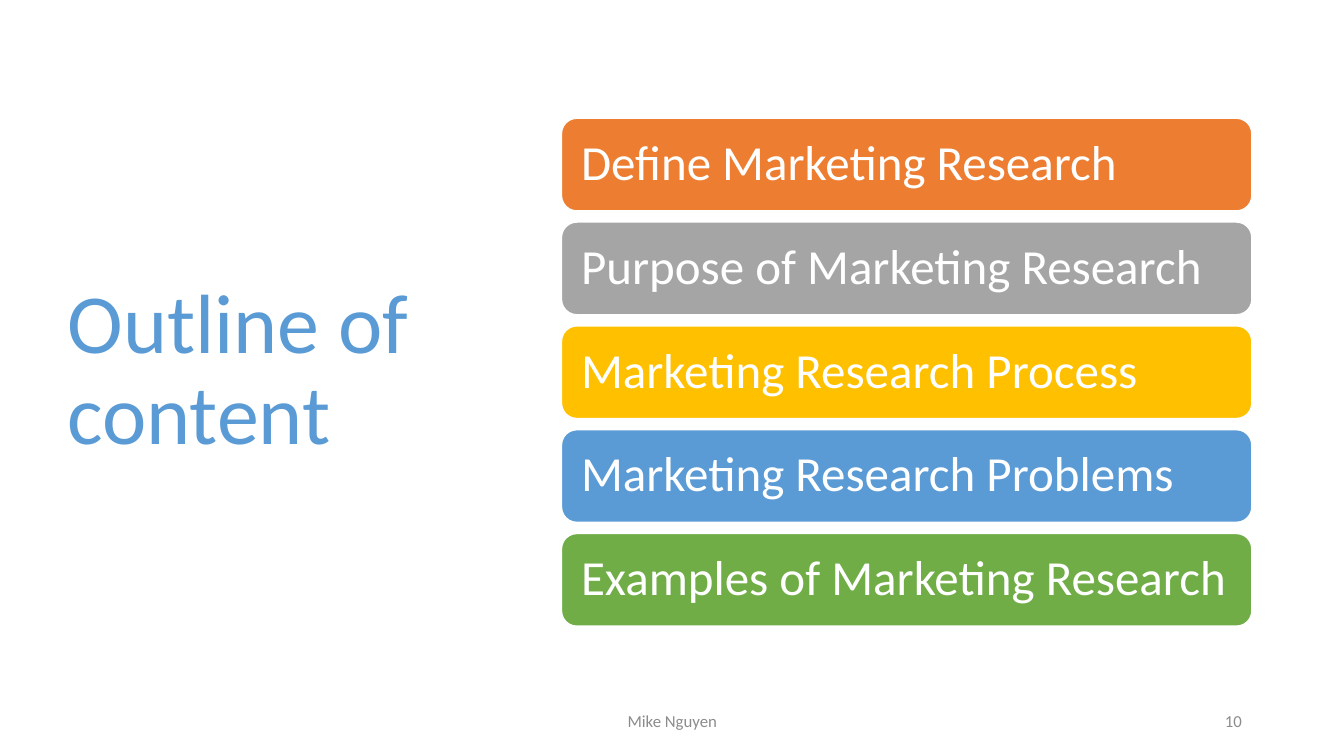
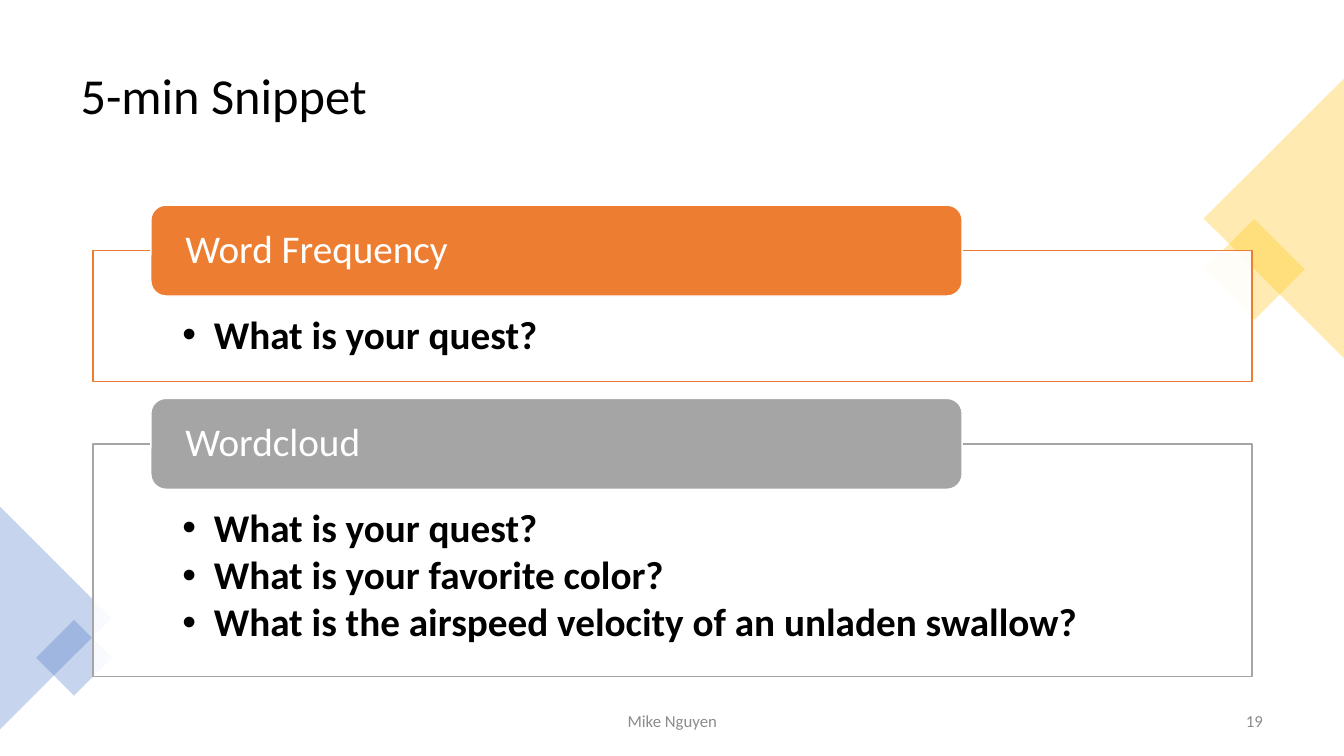
from dataclasses import dataclass
from typing import NamedTuple

from lxml import etree
from pptx import Presentation
from pptx.dml.color import RGBColor
from pptx.enum.shapes import MSO_SHAPE
from pptx.enum.text import MSO_ANCHOR, MSO_AUTO_SIZE, PP_ALIGN
from pptx.oxml.ns import qn
from pptx.util import Cm, Pt

RECTANGLE = MSO_SHAPE.RECTANGLE
ROUNDED = MSO_SHAPE.ROUNDED_RECTANGLE
TRIANGLE = MSO_SHAPE.ISOSCELES_TRIANGLE
LEFT, CENTER, RIGHT = PP_ALIGN.LEFT, PP_ALIGN.CENTER, PP_ALIGN.RIGHT
TOP, MIDDLE = MSO_ANCHOR.TOP, MSO_ANCHOR.MIDDLE
NO_AUTOFIT = MSO_AUTO_SIZE.NONE
TITLE_ONLY = 5


@dataclass(frozen=True)
class Theme:
    font: str = "Calibri"
    white: str = "FFFFFF"
    black: str = "000000"
    muted: str = "8C8C8C"
    orange: str = "ED7D31"
    gray: str = "A5A5A5"
    gold: str = "FFC000"
    blue: str = "5B9BD5"
    navy: str = "4472C4"
    green: str = "70AD47"
    large_title: int = 60
    title: int = 36
    bar: int = 35
    panel: int = 28
    footer: int = 12
    tight: float = 0.9


class Box(NamedTuple):
    """A region in centimetres."""
    left: float
    top: float
    width: float
    height: float

    def lengths(self):
        return [Cm(value) for value in self]


THEME = Theme()
FOOTER_BOX = Box(11.23, 17.65, 11.43, 1.02)
NUMBER_WIDTH = 7.62


def write_text(frame, *lines, size, color, bold=False, align=LEFT, anchor=MIDDLE,
               insets=(0.25, 0.13, 0.25, 0.13), line_spacing=THEME.tight,
               space_after=0, bullet_indent=None):
    """Fill a text frame, one paragraph a line; lengths are in centimetres."""
    frame.auto_size = NO_AUTOFIT
    frame.word_wrap = True
    frame.vertical_anchor = anchor
    (frame.margin_left, frame.margin_top,
     frame.margin_right, frame.margin_bottom) = [Cm(inset) for inset in insets]
    for index, line in enumerate(lines):
        para = frame.add_paragraph() if index else frame.paragraphs[0]
        para.alignment = align
        para.line_spacing = line_spacing
        para.space_after = Pt(space_after)
        if bullet_indent is not None:
            add_bullet(para, bullet_indent)
        span = para.add_run()
        span.text = line
        span.font.name = THEME.font
        span.font.size = Pt(size)
        span.font.bold = bold
        span.font.color.rgb = RGBColor.from_string(color)


def add_bullet(para, indent):
    properties = para._p.get_or_add_pPr()
    properties.set("marL", str(Cm(indent)))
    properties.set("indent", str(-Cm(indent)))
    etree.SubElement(properties, qn("a:buFont"), typeface="Arial")
    etree.SubElement(properties, qn("a:buChar"), char="•")


def add_block(page, kind, box, fill, line=None, opacity=100, rotation=0):
    """Add a flat preset shape."""
    block = page.shapes.add_shape(kind, *box.lengths())
    block.shadow.inherit = False
    block.rotation = rotation
    block.fill.solid()
    block.fill.fore_color.rgb = RGBColor.from_string(fill)
    if opacity < 100:
        color = block.element.spPr.find(qn("a:solidFill")).find(qn("a:srgbClr"))
        etree.SubElement(color, qn("a:alpha"), val=str(opacity * 1000))
    if line:
        block.line.color.rgb = RGBColor.from_string(line)
        block.line.width = Pt(1)
    else:
        block.line.fill.background()
    return block


def add_title(page, box, text, size, color):
    title = page.shapes.title
    title.left, title.top, title.width, title.height = box.lengths()
    write_text(title.text_frame, text, size=size, color=color)


def add_footer(page, number, right):
    """Author in the centre, page number ending at the given right edge."""
    number_box = FOOTER_BOX._replace(left=right - NUMBER_WIDTH, width=NUMBER_WIDTH)
    for box, text, align in ((FOOTER_BOX, "Mike Nguyen", CENTER),
                             (number_box, number, RIGHT)):
        label = page.shapes.add_textbox(*box.lengths())
        write_text(label.text_frame, text, size=THEME.footer, color=THEME.muted,
                   align=align, line_spacing=1.0)


def add_bars(page, box, bars, gap=0.28):
    """Stack equal bars that fill the box."""
    height = (box.height - gap * (len(bars) - 1)) / len(bars)
    for index, (text, color) in enumerate(bars):
        place = box._replace(top=box.top + index * (height + gap), height=height)
        bar = add_block(page, ROUNDED, place, color, line=THEME.white)
        write_text(bar.text_frame, text, size=THEME.bar, color=THEME.white,
                   insets=(0.38,) * 4)


def add_panel(page, box, heading, items, color):
    """Outlined list with a heading tab across its top edge."""
    tab_height = 2.29
    overlap = tab_height / 2
    frame_box = box._replace(top=box.top + overlap, height=box.height - overlap)
    frame = add_block(page, RECTANGLE, frame_box, THEME.white, line=color, opacity=90)
    write_text(frame.text_frame, *items, size=THEME.panel, color=THEME.black,
               bold=True, anchor=TOP, insets=(2.26, 1.63, 2.26, 0.56),
               space_after=3.5, bullet_indent=0.79)

    tab_box = Box(box.left + box.width * 0.05, box.top, box.width * 0.7, tab_height)
    tab = add_block(page, ROUNDED, tab_box, color, line=THEME.white)
    write_text(tab.text_frame, heading, size=THEME.panel, color=THEME.white,
               insets=(0.76, 0, 0.76, 0))


def add_panels(page, box, panels, gap=0.42):
    """Stack panels downwards, each as tall as its list needs."""
    top = box.top
    for heading, items, color in panels:
        height = 3.17 + 1.28 * len(items)
        add_panel(page, box._replace(top=top, height=height), heading, items, color)
        top += height + gap


def add_edge_ornaments(page):
    """Translucent diamonds at the right and left edges."""
    for kind, box, color, rotation in (
        (RECTANGLE, Box(30.71, 5.89, 1.8, 1.8), THEME.gold, 45),
        (TRIANGLE, Box(28.58, 3.74, 7.04, 3.53), THEME.gold, 270),
        (TRIANGLE, Box(-1.4, 14.17, 5.61, 2.81), THEME.navy, 90),
        (RECTANGLE, Box(1.19, 15.9, 1.35, 1.35), THEME.navy, 45),
    ):
        add_block(page, kind, box, color, opacity=30, rotation=rotation)


def build_outline(page):
    add_title(page, Box(1.45, 1.73, 10.57, 15.29), "Outline of content",
              THEME.large_title, THEME.blue)
    add_footer(page, "10", right=31.55)
    add_bars(page, Box(14.15, 2.98, 17.4, 12.8), (
        ("Define Marketing Research", THEME.orange),
        ("Purpose of Marketing Research", THEME.gray),
        ("Marketing Research Process", THEME.gold),
        ("Marketing Research Problems", THEME.blue),
        ("Examples of Marketing Research", THEME.green),
    ))


def build_snippet(page):
    add_title(page, Box(1.78, 0.89, 30.3, 3.15), "5-min Snippet",
              THEME.title, THEME.black)
    add_edge_ornaments(page)
    add_footer(page, "19", right=32.08)
    quest = "What is your quest?"
    add_panels(page, Box(2.34, 5.17, 29.21, 11.88), (
        ("Word Frequency", (quest,), THEME.orange),
        ("Wordcloud", (quest, "What is your favorite color?",
                       "What is the airspeed velocity of an unladen swallow?"),
         THEME.gray),
    ))


def main():
    deck = Presentation()
    deck.slide_width, deck.slide_height = Cm(33.87), Cm(19.05)
    for build in (build_outline, build_snippet):
        build(deck.slides.add_slide(deck.slide_layouts[TITLE_ONLY]))
    deck.save("out.pptx")


if __name__ == "__main__":
    main()
